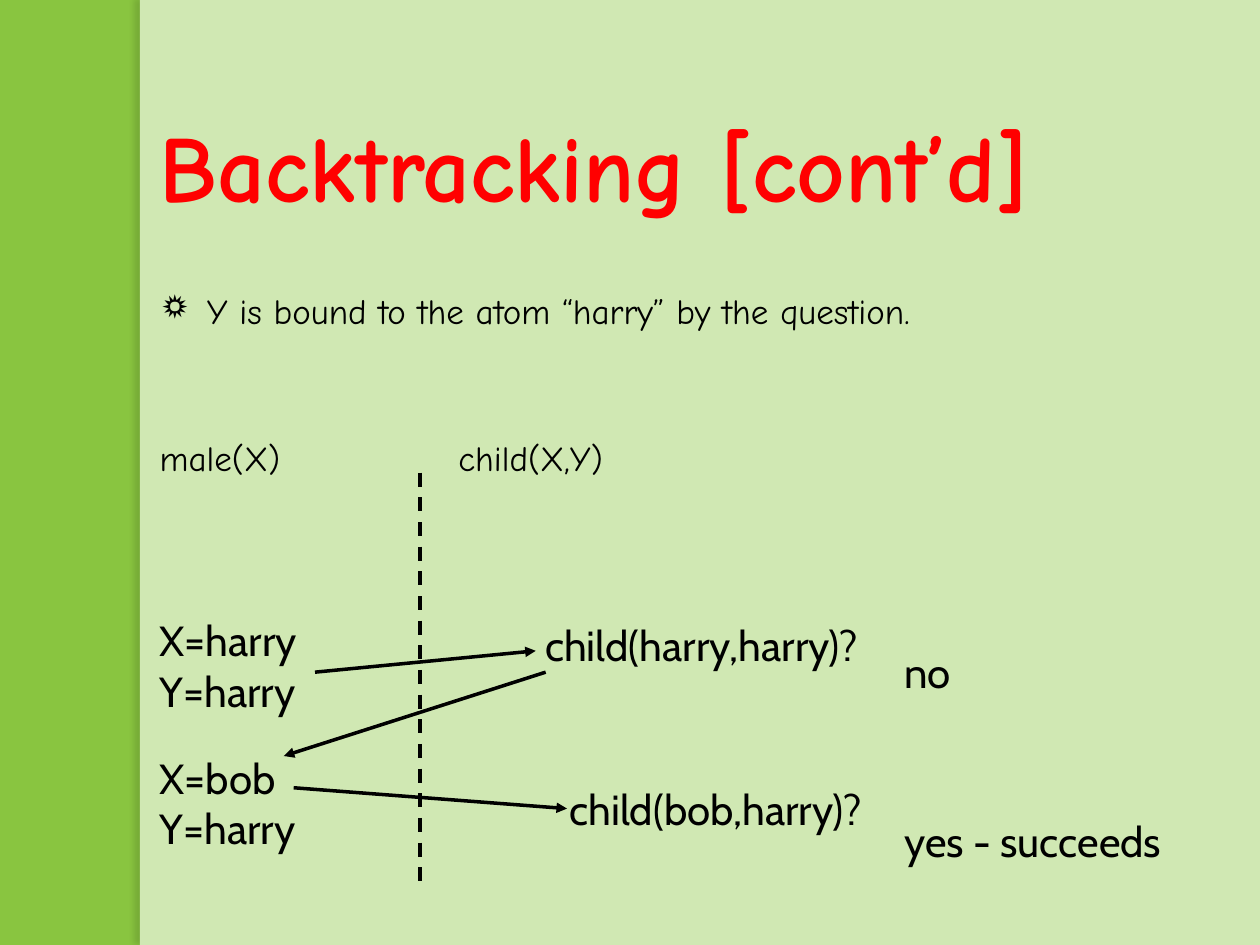
"""Build the slide on backtracking with its two search attempts."""
from dataclasses import dataclass

import lxml.etree
import pptx
import pptx.dml.color
import pptx.enum.dml
import pptx.enum.shapes
import pptx.enum.text
import pptx.oxml
import pptx.oxml.ns
import pptx.util

Cm = pptx.util.Cm
Pt = pptx.util.Pt
qn = pptx.oxml.ns.qn


@dataclass(frozen=True)
class Theme:
    sidebar: str = "89C540"
    panel: str = "D0E8B3"
    shade: str = "44651C"
    title: str = "FF0000"
    ink: str = "000000"
    heading_font: str = "Comic Neue"
    trace_font: str = "Cabin"
    title_size: int = 54
    body_size: int = 20
    trace_size: int = 24
    line_width: int = 2


def rgb(value):
    return pptx.dml.color.RGBColor.from_string(value)


class SlideBuilder:
    def __init__(self, slide, theme):
        self.slide, self.theme = slide, theme
        fill = slide.background.fill
        fill.solid()
        fill.fore_color.rgb = rgb(theme.sidebar)

    def style(self, frame, font, size, color, bold=False):
        for paragraph in frame.paragraphs:
            for run in paragraph.runs:
                run.font.name, run.font.size = font, Pt(size)
                run.font.bold, run.font.color.rgb = bold, rgb(color)

    def panel(self, left, top, width, height):
        panel = self.slide.shapes.add_shape(
            pptx.enum.shapes.MSO_SHAPE.RECTANGLE, Cm(left), Cm(top), Cm(width), Cm(height))
        panel.fill.solid()
        panel.fill.fore_color.rgb = rgb(self.theme.panel)
        panel.line.fill.background()
        panel.shadow.inherit = False
        effects = panel._element.spPr.find(qn("a:effectLst"))
        shadow = lxml.etree.SubElement(effects, qn("a:outerShdw"), blurRad=str(Pt(3)),
                                       dist=str(Pt(3)), dir="10800000", rotWithShape="0")
        color = lxml.etree.SubElement(shadow, qn("a:srgbClr"), val=self.theme.shade)
        lxml.etree.SubElement(color, qn("a:alpha"), val="25000")
        self.slide.shapes._spTree.insert(2, panel._element)

    def title(self, text, left, top, width, height):
        title = self.slide.shapes.title
        title.left, title.top, title.width, title.height = map(Cm, (left, top, width, height))
        frame = title.text_frame
        frame.text = text
        frame.word_wrap = True
        frame.auto_size = pptx.enum.text.MSO_AUTO_SIZE.NONE
        frame.vertical_anchor = pptx.enum.text.MSO_ANCHOR.BOTTOM
        frame.paragraphs[0].alignment = pptx.enum.text.PP_ALIGN.LEFT
        self.style(frame, self.theme.heading_font, self.theme.title_size, self.theme.title, True)

    def body(self, point, goals, left, top, width, height, goal_gap, goal_tab):
        frame = self.slide.shapes.add_textbox(Cm(left), Cm(top), Cm(width), Cm(height)).text_frame
        frame.word_wrap = True
        frame.text = point + "\n" + "\t".join(goals)
        bullet, headings = (paragraph._p.get_or_add_pPr() for paragraph in frame.paragraphs)
        frame.paragraphs[1].space_before = Pt(goal_gap)
        bullet.set("marL", str(Cm(0.95)))
        bullet.set("indent", str(-Cm(0.95)))
        lxml.etree.SubElement(bullet, qn("a:buChar"), char="☼")
        tabs = lxml.etree.SubElement(headings, qn("a:tabLst"))
        lxml.etree.SubElement(tabs, qn("a:tab"), pos=str(Cm(goal_tab)), algn="l")
        self.style(frame, self.theme.heading_font, self.theme.body_size, self.theme.ink)

    def trace(self, text, left, top, width):
        height = 1.27 + 1.04 * text.count("\n")
        frame = self.slide.shapes.add_textbox(Cm(left), Cm(top), Cm(width), Cm(height)).text_frame
        frame.text = text
        frame.word_wrap = False
        frame.auto_size = pptx.enum.text.MSO_AUTO_SIZE.SHAPE_TO_FIT_TEXT
        self.style(frame, self.theme.trace_font, self.theme.trace_size, self.theme.ink)

    def line(self, start, end):
        line = self.slide.shapes.add_connector(
            pptx.enum.shapes.MSO_CONNECTOR.STRAIGHT, *map(Cm, (*start, *end)))
        line.line.color.rgb = rgb(self.theme.ink)
        line.line.width = Pt(self.theme.line_width)
        lxml.etree.SubElement(line._element.spPr, qn("a:effectLst"))
        return line

    def arrow(self, start, end):
        outline = self.line(start, end).line._get_or_add_ln()
        lxml.etree.SubElement(outline, qn("a:tailEnd"), type="triangle")

    def divider(self, start, end):
        self.line(start, end).line.dash_style = pptx.enum.dml.MSO_LINE.DASH


deck = pptx.Presentation()
deck.slide_width, deck.slide_height = Cm(25.4), Cm(19.05)
page = SlideBuilder(deck.slides.add_slide(deck.slide_layouts[5]), Theme())

margin = 2.97
verdict_left = 17.98
page.panel(2.82, 0, 22.58, 19.05)
page.title("Backtracking [cont’d]", margin, 0.53, 21.59, 4.06)
page.body("Y is bound to the atom “harry” by the question.", ("male(X)", "child(X,Y)"),
          margin, 5.72, 21.79, 10.36, goal_gap=60, goal_tab=6.02)

for text, left, top, width in (
    ("X=harry\nY=harry", margin, 12.27, 3.61),
    ("child(harry,harry)?", 10.74, 12.37, 7.44),
    ("no", verdict_left, 12.9, 1.45),
    ("X=bob\nY=harry", margin, 15.04, 3.61),
    ("child(bob,harry)?", 11.23, 15.67, 6.88),
    ("yes - succeeds", verdict_left, 16.31, 5.97),
):
    page.trace(text, left, top, width)

for start, end in (
    ((6.35, 13.55), (10.8, 13.12)),
    ((11, 13.55), (5.72, 15.24)),
    ((5.92, 15.88), (11.43, 16.3)),
):
    page.arrow(start, end)
page.divider((8.47, 9.53), (8.47, 17.78))

deck.save("out.pptx")
